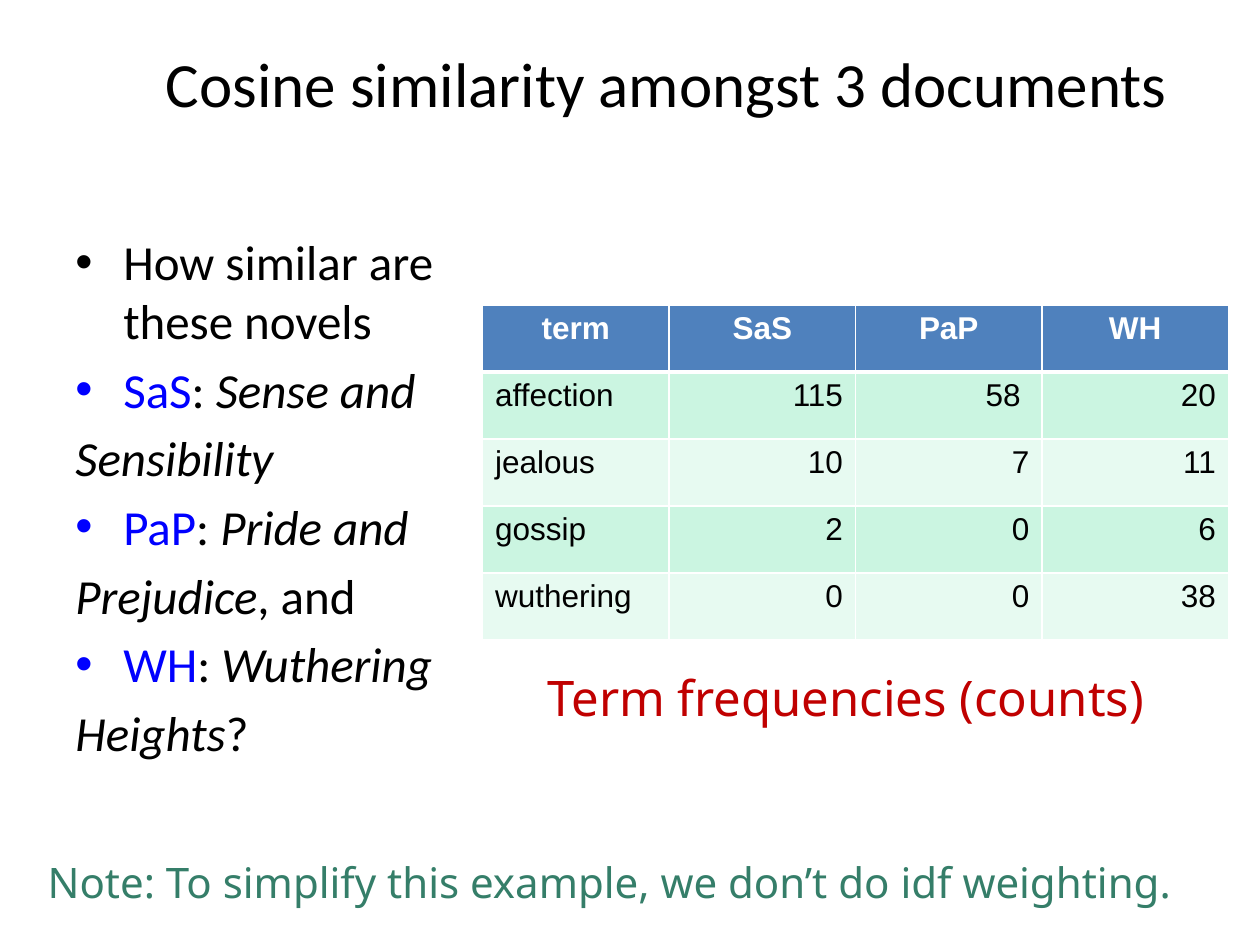
from dataclasses import dataclass

from lxml import etree
from pptx import Presentation
from pptx import util as u
from pptx.dml.color import RGBColor
from pptx.enum import text as t
from pptx.oxml import ns


@dataclass(frozen=True)
class Theme:
    black: str = "000000"
    white: str = "FFFFFF"
    blue: str = "0000FF"
    red: str = "C00000"
    green: str = "357E69"
    header: str = "4F81BD"
    bands: tuple = ("CBF5E1", "E7FAF1")
    heading_font: str = "Calibri"
    table_font: str = "Arial"
    note_font: str = "Noto Sans"
    title_size: int = 36
    body_size: int = 28
    note_size: int = 24
    table_size: int = 18
    indent: float = 0.38
    thin: int = 1
    thick: int = 3


class SlideBuilder:
    """Draws on one slide, with lengths in a grid of 100 columns by 75 rows."""

    def __init__(self, deck, theme):
        self.theme = theme
        self.column = deck.slide_width / 100
        self.row = deck.slide_height / 75
        self.slide = deck.slides.add_slide(deck.slide_layouts[5])

    def place(self, left, top, width, height):
        return (round(left * self.column), round(top * self.row),
                round(width * self.column), round(height * self.row))

    def run(self, para, words, font, size, color, bold=False, italic=False):
        span = para.add_run()
        span.text = words
        span.font.name = font
        span.font.size = u.Pt(size)
        span.font.bold = bold
        span.font.italic = italic
        span.font.color.rgb = RGBColor.from_string(color)

    def title(self, words, *area):
        box = self.slide.shapes.title
        box.left, box.top, box.width, box.height = self.place(*area)
        frame = box.text_frame
        frame.auto_size = t.MSO_AUTO_SIZE.NONE
        frame.vertical_anchor = t.MSO_ANCHOR.TOP
        para = frame.paragraphs[0]
        para.alignment = t.PP_ALIGN.CENTER
        self.run(para, words, self.theme.heading_font,
                 self.theme.title_size, self.theme.black)

    def bullet(self, para):
        props = para._p.get_or_add_pPr()
        indent = u.Inches(self.theme.indent)
        props.set("marL", str(indent))
        props.set("indent", str(-indent))
        etree.SubElement(props, ns.qn("a:buFont")).set("typeface", "Arial")
        etree.SubElement(props, ns.qn("a:buChar")).set("char", "•")

    def body(self, paragraphs, *area):
        """Each paragraph is (has bullet, [(words, color, italic), ...])."""
        frame = self.slide.shapes.add_textbox(*self.place(*area)).text_frame
        frame.word_wrap = True
        for index, (has_bullet, spans) in enumerate(paragraphs):
            para = frame.add_paragraph() if index else frame.paragraphs[0]
            para.space_before = u.Pt(0.2 * self.theme.body_size)
            if has_bullet:
                self.bullet(para)
            for words, color, italic in spans:
                self.run(para, words, self.theme.heading_font,
                         self.theme.body_size, color, italic=italic)

    def note(self, words, size, color, *area):
        frame = self.slide.shapes.add_textbox(*self.place(*area)).text_frame
        frame.word_wrap = False
        frame.auto_size = t.MSO_AUTO_SIZE.SHAPE_TO_FIT_TEXT
        self.run(frame.paragraphs[0], words, self.theme.note_font, size, color)

    def borders(self, cell, row):
        widths = {"L": self.theme.thin, "R": self.theme.thin,
                  "T": self.theme.thick if row == 1 else self.theme.thin,
                  "B": self.theme.thick if row == 0 else self.theme.thin}
        props = cell._tc.get_or_add_tcPr()
        for side, width in widths.items():
            line = etree.SubElement(props, ns.qn(f"a:ln{side}"))
            line.set("w", str(u.Pt(width)))
            fill = etree.SubElement(line, ns.qn("a:solidFill"))
            etree.SubElement(fill, ns.qn("a:srgbClr")).set("val", self.theme.white)

    def table(self, rows, *area):
        theme = self.theme
        table = self.slide.shapes.add_table(
            len(rows), len(rows[0]), *self.place(*area)).table
        table.first_row = table.horz_banding = False
        for r, values in enumerate(rows):
            for c, value in enumerate(values):
                cell = table.cell(r, c)
                header = r == 0
                self.borders(cell, r)
                cell.fill.solid()
                cell.fill.fore_color.rgb = RGBColor.from_string(
                    theme.header if header else theme.bands[(r - 1) % 2])
                para = cell.text_frame.paragraphs[0]
                if header:
                    para.alignment = t.PP_ALIGN.CENTER
                else:
                    para.alignment = t.PP_ALIGN.RIGHT if c else t.PP_ALIGN.LEFT
                self.run(para, value, theme.table_font, theme.table_size,
                         theme.white if header else theme.black, bold=header)


def novel(theme, short, start, end, tail):
    """A bulleted first line, and the rest of the name on its own line."""
    return [
        (True, [(short, theme.blue, False), (": ", theme.black, False),
                (start, theme.black, True)]),
        (False, [(end, theme.black, True), (tail, theme.black, False)]),
    ]


def main():
    deck = Presentation()
    deck.slide_width, deck.slide_height = u.Inches(10), u.Inches(7.5)
    theme = Theme()
    page = SlideBuilder(deck, theme)

    # Title
    page.title("Cosine similarity amongst 3 documents", 5.8, 3, 94.2, 12.7)

    # Term counts
    page.table([
        ("term", "SaS", "PaP", "WH"),
        ("affection", "115", "58 ", "20"),
        ("jealous", "10", "7", "11"),
        ("gossip", "2", "0", "6"),
        ("wuthering", "0", "0", "38"),
    ], 38.3, 24.2, 59.2, 26.6)

    # Novels
    page.body([
        (True, [("How similar are these novels", theme.black, False)]),
        *novel(theme, "SaS", "Sense and", "Sensibility", ""),
        *novel(theme, "PaP", "Pride and", "Prejudice", ", and"),
        *novel(theme, "WH", "Wuthering", "Heights", "?"),
    ], 5, 17.9, 32.9, 51.3)

    # Caption and note
    page.note("Term frequencies (counts)", theme.body_size, theme.red,
              42.5, 52.5, 51.9, 5.7)
    page.note("Note: To simplify this example, we don’t do idf weighting.",
              theme.note_size, theme.green, 2.8, 67.5, 97.2, 5.1)

    deck.save("out.pptx")


if __name__ == "__main__":
    main()
